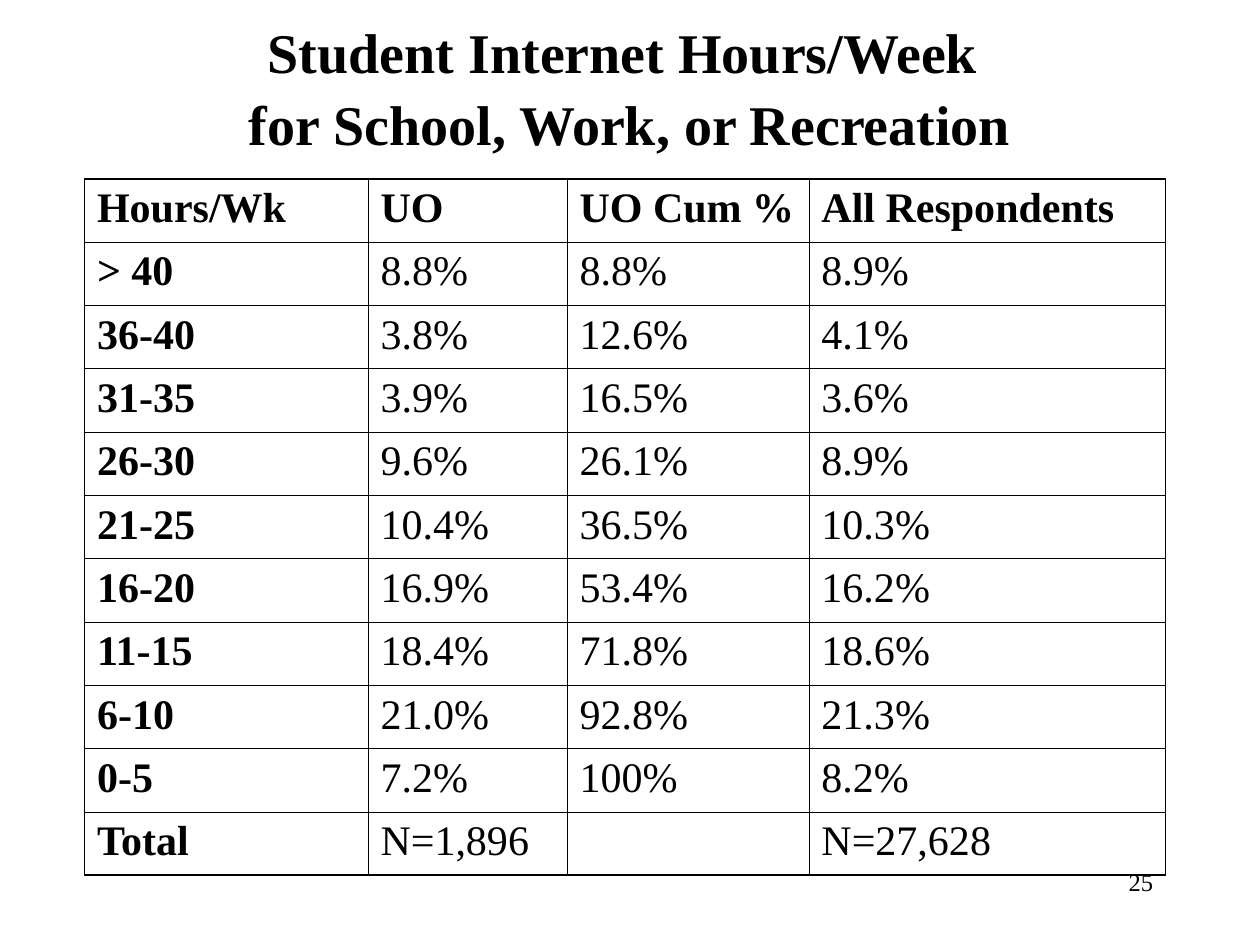
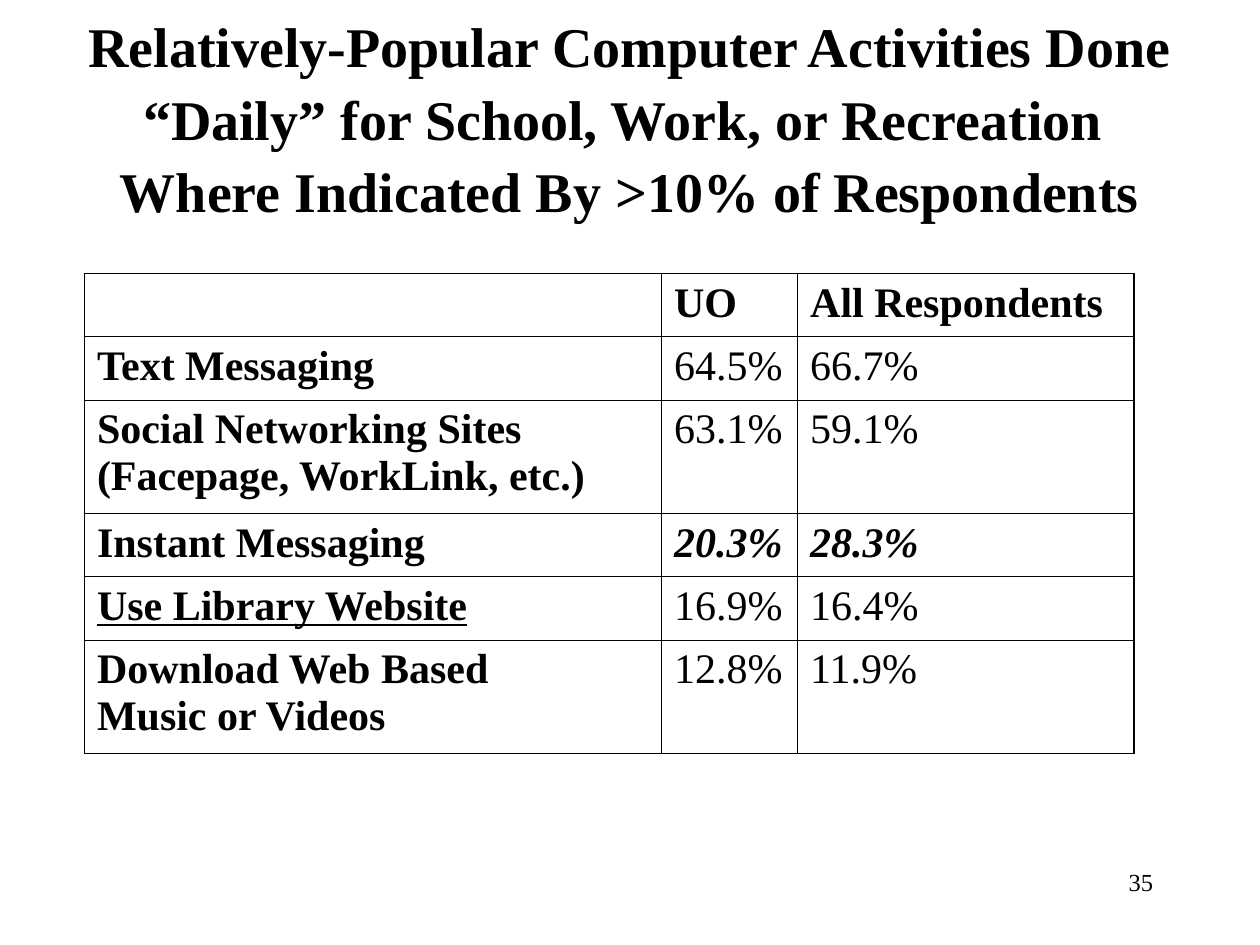
from dataclasses import dataclass, field

from lxml import etree
from pptx import Presentation, util as u
from pptx.dml.color import RGBColor
from pptx.enum import text as t
from pptx.oxml.ns import qn


@dataclass(frozen=True)
class Theme:
    ink: str = "000000"
    face: str = "Times New Roman"
    title: int = 32
    body: int = 24
    foot: int = 14
    lead: float = 1.08  # line spacing of titles
    thin: float = 0.45
    thick: float = 1.08
    row: int = u.Inches(5.53) // 11
    tall: int = u.Inches(0.9)  # row with two lines


@dataclass(frozen=True)
class Box:
    left: float
    top: float
    width: float
    height: float

    def emu(self) -> list[int]:
        return [u.Inches(n) for n in (self.left, self.top, self.width, self.height)]


@dataclass(frozen=True)
class Page:
    title: str
    head: Box
    number: int
    top: float
    cols: list[float]
    rows: list[list[str]]
    marks: dict = field(default_factory=dict)  # (row, column) -> font values


THEME = Theme()
LEFT = 0.67
FOOT = Box(7.17, 6.83, 2.08, 0.5)

PAGES = [
    Page(
        "Student Internet Hours/Week \nfor School, Work, or Recreation",
        Box(0.75, 0.17, 8.5, 1), 25, 1.42, [2.25, 1.58, 1.92, 2.83],
        [
            ["Hours/Wk", "UO", "UO Cum %", "All Respondents"],
            ["> 40", "8.8%", "8.8%", "8.9%"],
            ["36-40", "3.8%", "12.6%", "4.1%"],
            ["31-35", "3.9%", "16.5%", "3.6%"],
            ["26-30", "9.6%", "26.1%", "8.9%"],
            ["21-25", "10.4%", "36.5%", "10.3%"],
            ["16-20", "16.9%", "53.4%", "16.2%"],
            ["11-15", "18.4%", "71.8%", "18.6%"],
            ["6-10", "21.0%", "92.8%", "21.3%"],
            ["0-5", "7.2%", "100%", "8.2%"],
            ["Total", "N=1,896", "", "N=27,628"],
        ],
    ),
    Page(
        "Relatively-Popular Computer Activities Done “Daily” for School, "
        "Work, or Recreation \nWhere Indicated By >10% of Respondents",
        Box(0.25, 0.25, 9.5, 1.33), 35, 2.17, [4.58, 1.08, 2.67],
        [
            ["", "UO", "All Respondents"],
            ["Text Messaging", "64.5%", "66.7%"],
            ["Social Networking Sites\n(Facepage, WorkLink, etc.)", "63.1%", "59.1%"],
            ["Instant Messaging", "20.3%", "28.3%"],
            ["Use Library Website", "16.9%", "16.4%"],
            ["Download Web Based\nMusic or Videos", "12.8%", "11.9%"],
        ],
        {
            (3, 1): {"bold": True, "italic": True},
            (3, 2): {"bold": True, "italic": True},
            (4, 0): {"underline": True},
        },
    ),
]


def write(frame, words: str, size: int, align=t.PP_ALIGN.LEFT, **extra) -> None:
    """Put styled words in the first paragraph of a frame."""
    para = frame.paragraphs[0]
    para.text = words
    para.alignment = align
    style = {"name": THEME.face, "size": u.Pt(size), **extra}
    for run in para.runs:
        for key, value in style.items():
            setattr(run.font, key, value)
        run.font.color.rgb = RGBColor.from_string(THEME.ink)


def label(slide, box: Box, words: str, size: int, align, **extra):
    frame = slide.shapes.add_textbox(*box.emu()).text_frame
    frame.word_wrap = True
    write(frame, words, size, align, **extra)
    return frame


def edge(cell, side: str, width: float) -> None:
    line = etree.SubElement(cell._tc.get_or_add_tcPr(), qn(f"a:ln{side}"), w=str(u.Pt(width)))
    fill = etree.SubElement(line, qn("a:solidFill"))
    etree.SubElement(fill, qn("a:srgbClr"), val=THEME.ink)


def grid(slide, page: Page) -> None:
    """Draw the table with a thick frame and thin inner lines."""
    high = [THEME.tall if "\n" in row[0] else THEME.row for row in page.rows]
    wide = [u.Inches(col) for col in page.cols]
    table = slide.shapes.add_table(
        len(high), len(wide), u.Inches(LEFT), u.Inches(page.top), sum(wide), sum(high)
    ).table
    table.first_row = table.horz_banding = False
    for col, width in zip(table.columns, wide):
        col.width = width
    for row, height in zip(table.rows, high):
        row.height = height

    for r, row in enumerate(page.rows):
        for c, words in enumerate(row):
            cell = table.cell(r, c)
            style = {"bold": r == 0 or c == 0, **page.marks.get((r, c), {})}
            write(cell.text_frame, words, THEME.body, **style)
            outer = {
                "L": c == 0,
                "R": c == len(wide) - 1,
                "T": r == 0,
                "B": r == len(high) - 1,
            }
            for side, rim in outer.items():
                edge(cell, side, THEME.thick if rim else THEME.thin)
            cell.fill.background()


def build(deck, page: Page) -> None:
    slide = deck.slides.add_slide(deck.slide_layouts[6])
    # Title
    head = label(slide, page.head, page.title, THEME.title, t.PP_ALIGN.CENTER, bold=True)
    head.vertical_anchor = t.MSO_ANCHOR.MIDDLE
    head.paragraphs[0].line_spacing = THEME.lead
    # Table
    grid(slide, page)
    # Page number
    label(slide, FOOT, str(page.number), THEME.foot, t.PP_ALIGN.RIGHT)


def main() -> None:
    deck = Presentation()
    deck.slide_width, deck.slide_height = u.Inches(10), u.Inches(7.5)
    for page in PAGES:
        build(deck, page)
    deck.save("out.pptx")


if __name__ == "__main__":
    main()
